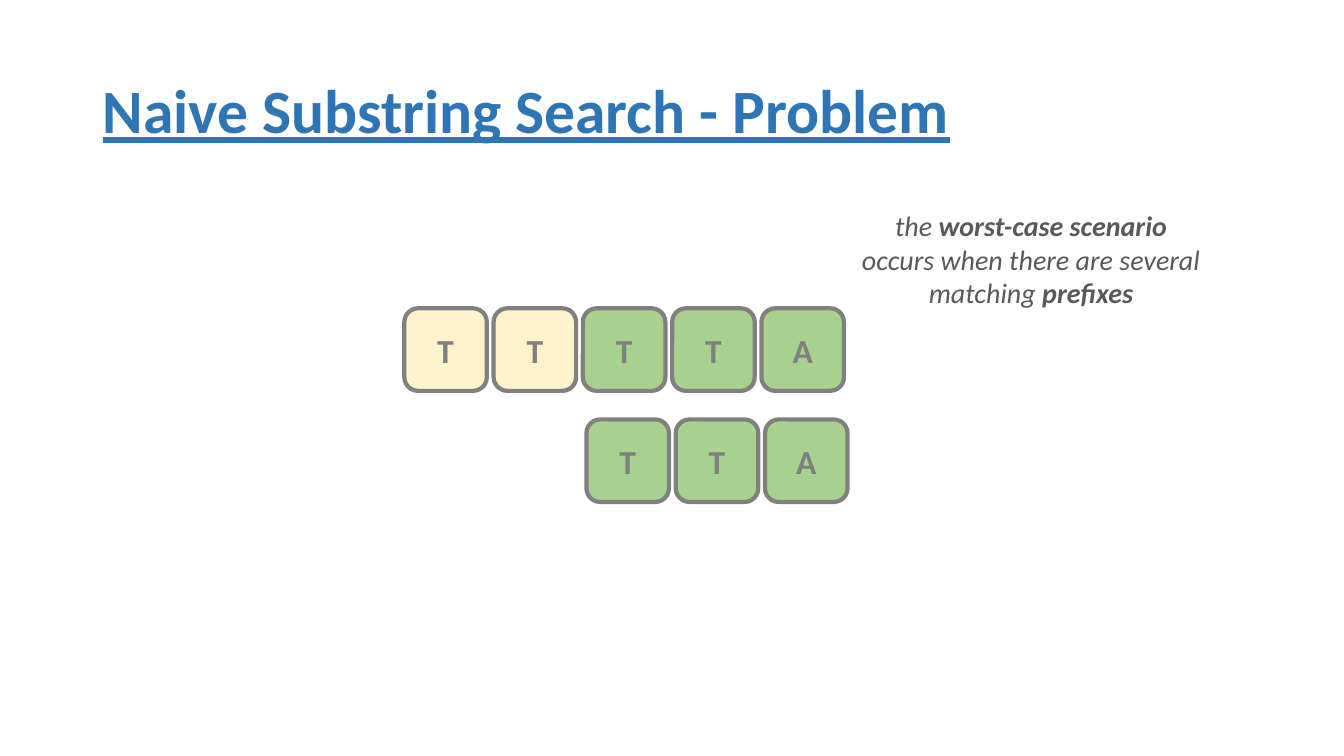
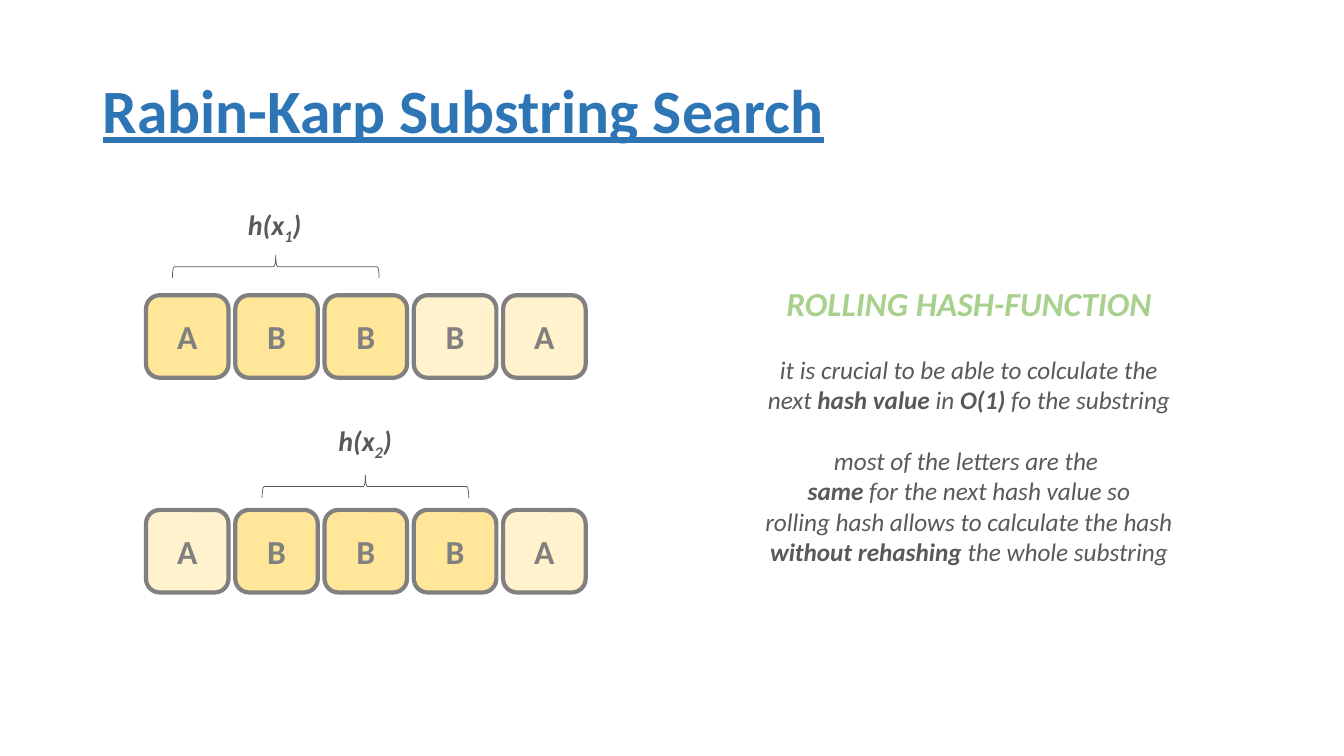
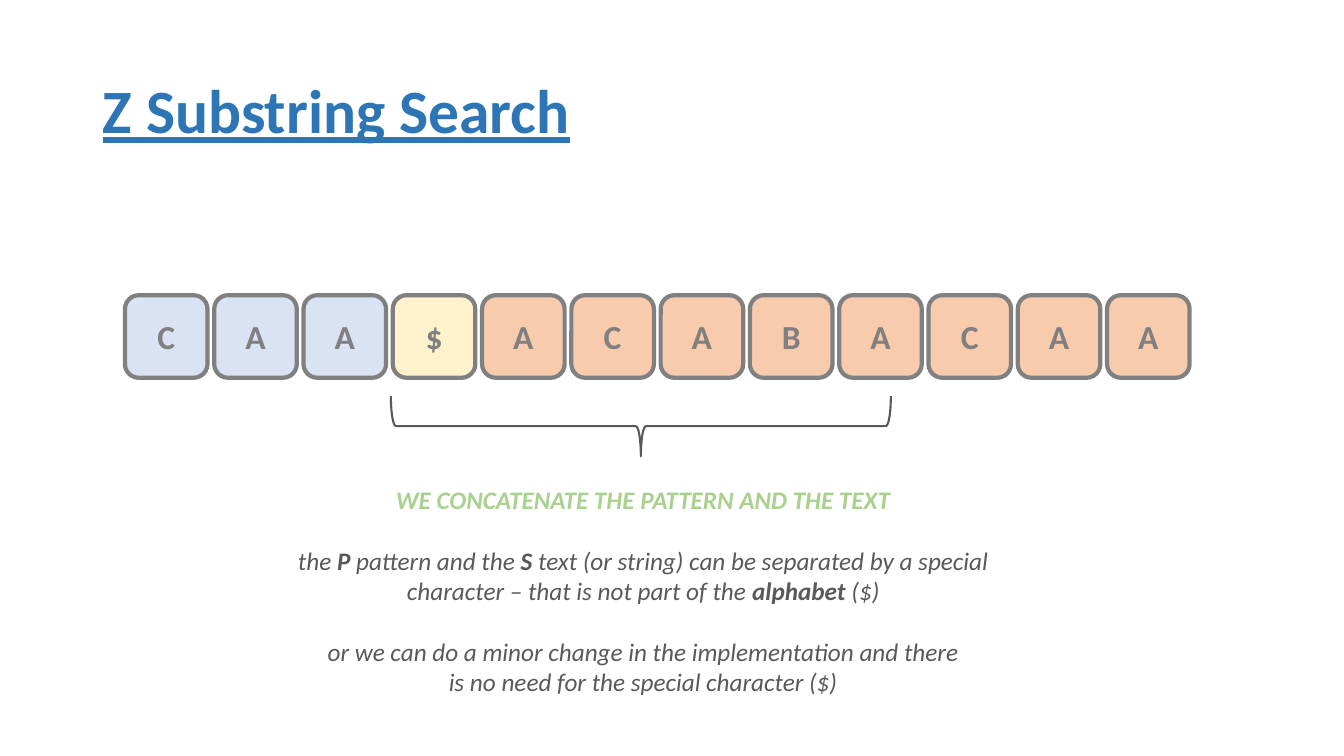
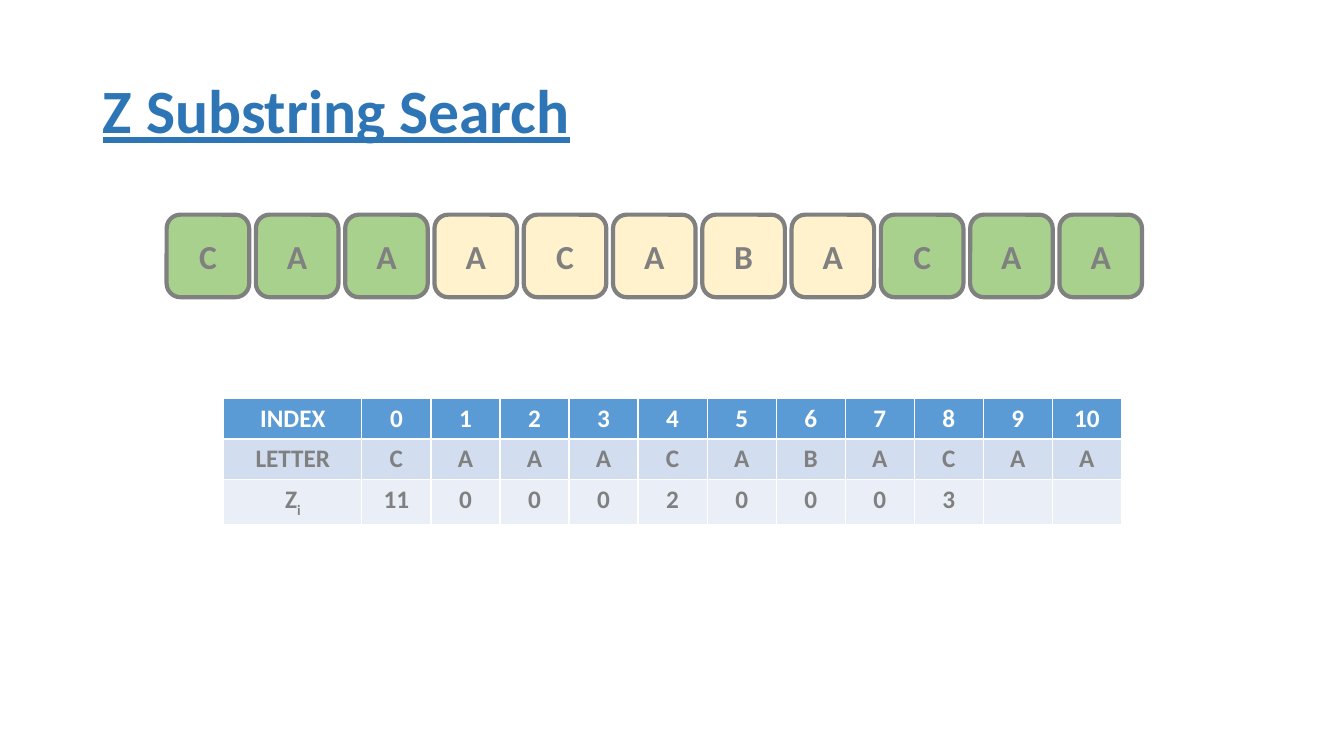
"""Build four slides on substring search algorithms."""
import pptx
import pptx.dml.color
import pptx.enum.shapes
import pptx.enum.text
import pptx.util

Cm = pptx.util.Cm
Pt = pptx.util.Pt
SHAPES = pptx.enum.shapes.MSO_SHAPE
ALIGN = pptx.enum.text.PP_ALIGN
ANCHOR = pptx.enum.text.MSO_ANCHOR

FONT = "Calibri"
BLUE, GRAY, DARK, GREEN, WHITE = "2E75B6", "808080", "595959", "A9D18E", "FFFFFF"
TILE_FILLS = {"y": "FFF2CC", "g": GREEN, "a": "FFE699", "b": "DAE3F3", "o": "F8CBAD"}
TABLE_FILLS = ["5B9BD5", "D2DEEF", "EAEFF7"]
TILE_SIZE, TILE_STEP = 2.08, 2.25
TITLE_BOX = (2.34, 1.02, 29.21, 3.68)
LINE_GAP = 22

# CONTENT_MARKER
SLIDES = [
    {
        "title": "Naive Substring Search - Problem",
        "tiles": [("TTTTA", "yyggg", 10.19, 7.77), ("TTA", "ggg", 14.78, 10.57)],
        "notes": [((21.44, 5.13, 9.09, 2.82), [
            ("the *worst-case scenario*", 20, DARK, 0),
            ("occurs when there are several", 20, DARK, 0),
            ("matching *prefixes*", 20, DARK, 0),
        ])],
    },
    {
        "title": "Rabin-Karp Substring Search",
        "tiles": [("ABBBA", "aaayy", 3.68, 7.44), ("ABBBA", "yaaay", 3.68, 12.85)],
        "braces": [(6.95, 6.72, 0.58, 5.21, 270, 0.5), (9.21, 12.26, 0.58, 5.21, 270, 0.5)],
        "notes": [
            ((5.97, 5.11, 1.9, 1.12), [("*h(x~1~)*", 20, DARK, 0)]),
            ((8.25, 10.54, 1.9, 1.12), [("*h(x~2~)*", 20, DARK, 0)]),
            ((18.92, 7.01, 11, 9.75), [
                ("*ROLLING HASH-FUNCTION*", 24, GREEN, 0),
                ("it is crucial to be able to colculate the", 18, DARK, LINE_GAP),
                ("next *hash value* in *O(1)* fo the substring", 18, DARK, 0),
                ("most of the letters are the ", 18, DARK, LINE_GAP),
                ("*same* for the next hash value so", 18, DARK, 0),
                ("rolling hash allows to calculate the hash", 18, DARK, 0),
                ("*without rehashing *the whole substring", 18, DARK, 0),
            ]),
        ],
    },
    {
        "title": "Z Substring Search",
        "tiles": [("CAA$ACABACAA", "bbbyoooooooo", 3.15, 7.44)],
        "braces": [(16.15, 10.74, 1.52, 12.6, 90, 1.5)],
        "notes": [((7.14, 12.07, 18.14, 5.64), [
            ("*WE CONCATENATE THE PATTERN AND THE TEXT*", 18, GREEN, 0),
            ("the *P* pattern and the *S* text (or string) can be separated by a special",
             18, DARK, LINE_GAP),
            ("character – that is not part of the *alphabet* ($)", 18, DARK, 0),
            ("or we can do a minor change in the implementation and there", 18, DARK, LINE_GAP),
            ("is no need for the special character ($)", 18, DARK, 0),
        ])],
    },
    {
        "title": "Z Substring Search",
        "tiles": [("CAAACABACAA", "gggyyyyyggg", 4.2, 5.41)],
        "table": [
            ["INDEX", *map(str, range(11))],
            ["LETTER", *"CAAACABACAA"],
            ["Z~i~", "11", "0", "0", "0", "2", "0", "0", "0", "3", "", ""],
        ],
    },
]


def color(code):
    """Turn a hex string into a colour."""
    return pptx.dml.color.RGBColor.from_string(code)


def write(paragraph, text, size, code, bold=None, italic=None, align=ALIGN.CENTER):
    """Fill a paragraph; *stars* mark bold and ~tildes~ mark subscripts."""
    paragraph.alignment = align
    font = paragraph.font
    font.name, font.size, font.bold, font.italic = FONT, Pt(size), bold, italic
    font.color.rgb = color(code)
    for part_index, part in enumerate(text.split("*")):
        for piece_index, piece in enumerate(part.split("~")):
            if not piece:
                continue
            run = paragraph.add_run()
            run.text = piece
            if part_index % 2:
                run.font.bold = True
            if piece_index % 2:
                run._r.get_or_add_rPr().set("baseline", "-25000")


def add_title(slide, text):
    """Add the underlined slide title."""
    frame = slide.shapes.add_textbox(*map(Cm, TITLE_BOX)).text_frame
    frame.word_wrap = True
    frame.vertical_anchor = ANCHOR.MIDDLE
    paragraph = frame.paragraphs[0]
    write(paragraph, text, 44, BLUE, bold=True, align=ALIGN.LEFT)
    paragraph.font.underline = True
    paragraph.line_spacing = 0.9


def add_outlined(slide, kind, box, code, width):
    """Add a preset shape with a plain outline."""
    shape = slide.shapes.add_shape(kind, *map(Cm, box))
    shape.shadow.inherit = False
    shape.line.color.rgb = color(code)
    shape.line.width = Pt(width)
    return shape


def add_tiles(slide, letters, fills, left, top):
    """Add a row of lettered tiles."""
    for index, (letter, fill) in enumerate(zip(letters, fills)):
        box = (left + index * TILE_STEP, top, TILE_SIZE, TILE_SIZE)
        tile = add_outlined(slide, SHAPES.ROUNDED_RECTANGLE, box, GRAY, 3)
        tile.fill.solid()
        tile.fill.fore_color.rgb = color(TILE_FILLS[fill])
        tile.text_frame.vertical_anchor = ANCHOR.MIDDLE
        write(tile.text_frame.paragraphs[0], letter, 24, GRAY, bold=True)


def add_brace(slide, center_x, center_y, width, height, rotation, line_width):
    """Add a turned brace around its centre."""
    box = (center_x - width / 2, center_y - height / 2, width, height)
    brace = add_outlined(slide, SHAPES.RIGHT_BRACE, box, DARK, line_width)
    brace.fill.background()
    brace.rotation = rotation


def add_note(slide, box, lines):
    """Add centred italic lines."""
    frame = slide.shapes.add_textbox(*map(Cm, box)).text_frame
    frame.word_wrap = False
    for index, (text, size, code, gap) in enumerate(lines):
        paragraph = frame.add_paragraph() if index else frame.paragraphs[0]
        write(paragraph, text, size, code, italic=True)
        paragraph.space_before = Pt(gap)


def add_z_table(slide, rows):
    """Add the table of Z values."""
    widths = [3.48] + [1.74] * (len(rows[0]) - 1)
    box = (5.64, 10.03, sum(widths), 1.03 * len(rows))
    table = slide.shapes.add_table(len(rows), len(widths), *map(Cm, box)).table
    for column, width in zip(table.columns, widths):
        column.width = Cm(width)
    for row_index, row in enumerate(rows):
        for column_index, text in enumerate(row):
            cell = table.cell(row_index, column_index)
            cell.fill.solid()
            cell.fill.fore_color.rgb = color(TABLE_FILLS[row_index])
            code = GRAY if row_index else WHITE
            write(cell.text_frame.paragraphs[0], text, 18, code, bold=True)


def main():
    """Build and save the presentation."""
    presentation = pptx.Presentation()
    presentation.slide_width, presentation.slide_height = Cm(33.87), Cm(19.05)
    for content in SLIDES:
        slide = presentation.slides.add_slide(presentation.slide_layouts[6])
        add_title(slide, content["title"])
        for tiles in content["tiles"]:
            add_tiles(slide, *tiles)
        for brace in content.get("braces", []):
            add_brace(slide, *brace)
        for note in content.get("notes", []):
            add_note(slide, *note)
        if "table" in content:
            add_z_table(slide, content["table"])
    presentation.save("out.pptx")


main()
